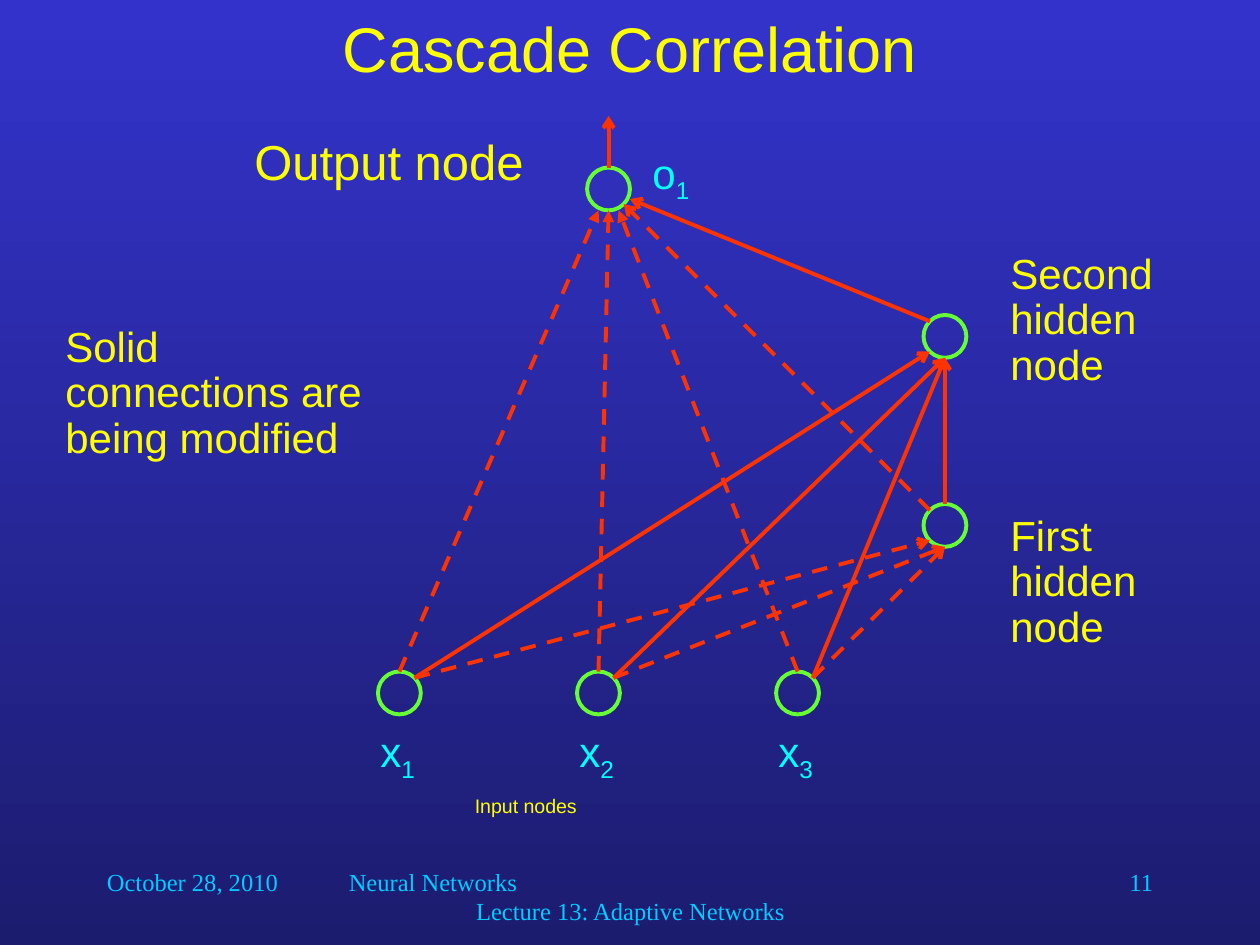
from lxml import etree
from pptx import Presentation
from pptx.dml.color import RGBColor
from pptx.enum.dml import MSO_LINE
from pptx.enum.shapes import MSO_CONNECTOR, MSO_SHAPE
from pptx.enum.text import MSO_ANCHOR, PP_ALIGN
from pptx.oxml.ns import qn
from pptx.util import Inches, Pt

LEFT, CENTER, RIGHT = PP_ALIGN.LEFT, PP_ALIGN.CENTER, PP_ALIGN.RIGHT
MIDDLE = MSO_ANCHOR.MIDDLE
OVAL = MSO_SHAPE.OVAL
STRAIGHT = MSO_CONNECTOR.STRAIGHT
DASH = MSO_LINE.DASH
COLORS = {"top": "3333CC", "bottom": "1C1C6F", "label": "FFFF00", "symbol": "00FFFF",
          "footer": "00CCFF", "node": "66FF33", "link": "FF3300"}


def write(p, text, size=24, color="label", font="Arial", align=LEFT, spacing=1.0, sub=""):
    p.alignment = align
    p.line_spacing = spacing
    for part in filter(None, (text, sub)):
        r = p.add_run()
        r.text = part
        r.font.size = Pt(size)
        r.font.name = font
        r.font.color.rgb = RGBColor.from_string(COLORS[color])
    if sub:
        r.font._element.set("baseline", "-25000")


def add_text(text, left, top, width, height, **fmt):
    tf = s.shapes.add_textbox(Inches(left), Inches(top), Inches(width), Inches(height)).text_frame
    tf.word_wrap = True
    write(tf.paragraphs[0], text, **fmt)
    return tf


prs = Presentation()
prs.slide_width, prs.slide_height = Inches(10), Inches(7.5)
s = prs.slides.add_slide(prs.slide_layouts[5])

fill = s.background.fill
fill.gradient()
fill.gradient_angle = 270
for stop, name, position in zip(fill.gradient_stops, ("top", "bottom"), (0, 1)):
    stop.color.rgb = RGBColor.from_string(COLORS[name])
    stop.position = position

title = s.shapes.title
title.left, title.top, title.width, title.height = Inches(0), Inches(0), Inches(10), Inches(0.75)
title.text_frame.vertical_anchor = MIDDLE
write(title.text_frame.paragraphs[0], "Cascade Correlation", size=36, align=CENTER)

footer = {"size": 14, "color": "footer", "font": "Times New Roman"}
add_text("October 28, 2010", 0.75, 6.83, 2.08, 0.5, **footer)
tf = add_text("Neural Networks", 2.67, 6.83, 4.67, 0.5, **footer)
write(tf.add_paragraph(), "Lecture 13: Adaptive Networks", align=CENTER, **footer)
add_text("11", 7.17, 6.83, 2.08, 0.5, align=RIGHT, **footer)

radius, diag, side = 0.17, 0.12, 0.08
inputs = [(3.17 + 1.58 * i, 5.5) for i in range(3)]
output, first, second = (4.83, 1.5), (7.5, 4.17), (7.5, 2.67)

for x, y in inputs + [output, first, second]:
    node = s.shapes.add_shape(OVAL, Inches(x - radius), Inches(y - radius),
                              Inches(2 * radius), Inches(2 * radius))
    node.shadow.inherit = False
    node.fill.background()
    node.line.color.rgb = RGBColor.from_string(COLORS["node"])
    node.line.width = Pt(2.25)

up, down = (0, -radius), (0, radius)
up_left, up_right = (-diag, -diag), (diag, -diag)
down_left, down_right = (-diag, diag), (diag, diag)

links = [(output, up, output, (0, -0.58), False, "arrow"),
         (first, up_left, output, down_right, True, "arrow"),
         (second, up_left, output, (radius, side), False, "arrow"),
         (first, up, second, down, False, "arrow")]
for i, point in enumerate(inputs):
    hidden_end = down_left if i == 0 else down
    links += [(point, up, output, (side * (i - 1), radius), True, "triangle"),
              (point, up_right, first, hidden_end, True, "arrow"),
              (point, up_right, second, hidden_end, False, "arrow")]

for (x1, y1), (dx1, dy1), (x2, y2), (dx2, dy2), dashed, head in links:
    link = s.shapes.add_connector(STRAIGHT, Inches(x1 + dx1), Inches(y1 + dy1),
                                  Inches(x2 + dx2), Inches(y2 + dy2))
    link.line.color.rgb = RGBColor.from_string(COLORS["link"])
    link.line.width = Pt(2.25)
    if dashed:
        link.line.dash_style = DASH
    etree.SubElement(link.line._get_or_add_ln(), qn("a:tailEnd"), type=head)
    etree.SubElement(link._element.spPr, qn("a:effectLst"))

for i, (x, y) in enumerate(inputs, 1):
    add_text("x", x - 0.25, y + 0.21, 0.75, 0.75, color="symbol", sub=str(i))
add_text("o", 5.08, 1.12, 0.75, 0.75, color="symbol", sub="1")

add_text("Input nodes", 3.67, 6.3, 2.5, 0.67, size=11.2, spacing=0.7)
add_text("Output node", 1.92, 1.05, 2.5, 0.67, size=28, spacing=0.9)
add_text("Solid connections are being modified", 0.42, 2.54, 2.58, 2.58, spacing=0.9)
add_text("First hidden node", 7.92, 4.04, 1.58, 1.17, spacing=0.9)
add_text("Second hidden node", 7.92, 1.96, 1.58, 1.17, spacing=0.9)

prs.save("out.pptx")
